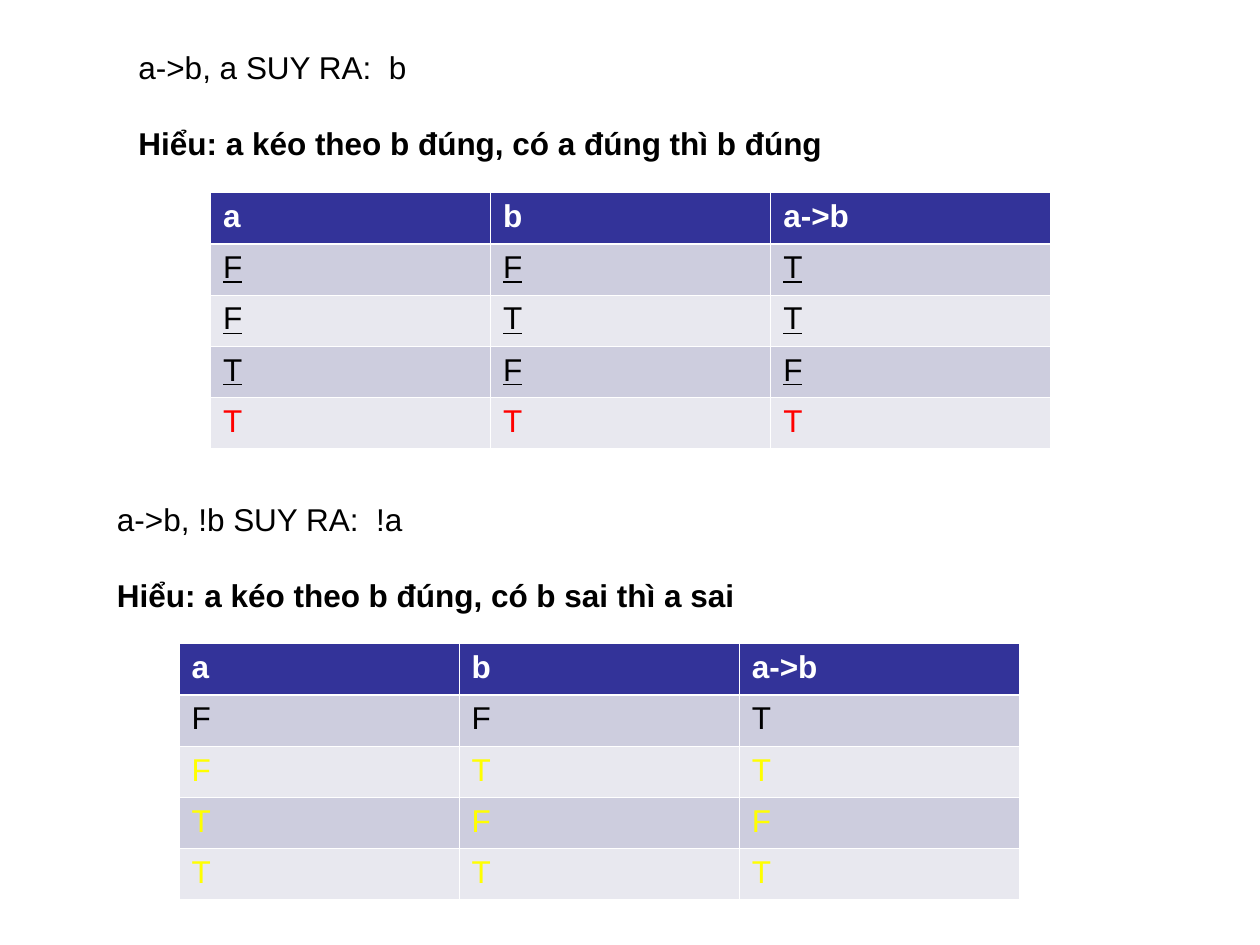
from dataclasses import dataclass

from lxml.etree import SubElement as Sub
from pptx import Presentation as Deck
from pptx.dml.color import RGBColor as Rgb
from pptx.enum.text import MSO_AUTO_SIZE as Fit
from pptx.oxml.ns import qn
from pptx.util import Inches, Pt


@dataclass(frozen=True)
class Theme:
    font: str = "Arial"
    size: int = 18
    gap: int = 22
    thin: float = 0.45
    thick: float = 1.47
    ink: str = "000000"
    white: str = "FFFFFF"
    red: str = "FF0000"
    yellow: str = "FFFF00"
    head: str = "333399"
    bands: tuple[str, str] = ("CDCDDE", "E8E8EF")


@dataclass(frozen=True)
class Look:
    color: str
    bold: bool = False
    line: bool = False


@dataclass(frozen=True)
class Proof:
    rule: str
    note: str
    text_at: tuple[float, float]
    grid_at: tuple[float, float]
    looks: tuple[Look, ...]


THEME = Theme()
TRUTH = (("a", "b", "a->b"), "FFT", "FTT", "TFF", "TTT")
HEAD = Look(THEME.white, bold=True)
PLAIN = Look(THEME.ink)
UNDER = Look(THEME.ink, line=True)
RED = Look(THEME.red)
YELLOW = Look(THEME.yellow)

PROOFS = (
    Proof("a->b, a SUY RA:  b",
          "Hiểu: a kéo theo b đúng, có a đúng thì b đúng",
          (1, 0.33), (1.67, 1.53), (HEAD, UNDER, UNDER, UNDER, RED)),
    Proof("a->b, !b SUY RA:  !a",
          "Hiểu: a kéo theo b đúng, có b sai thì a sai",
          (0.83, 3.92), (1.42, 5.11), (HEAD, PLAIN, YELLOW, YELLOW, YELLOW)),
)


def write(para, text: str, look: Look) -> None:
    run = para.add_run()
    run.text = text
    form = {"name": THEME.font, "size": Pt(THEME.size),
            "bold": look.bold, "underline": look.line}
    for key, value in form.items():
        setattr(run.font, key, value)
    run.font.color.rgb = Rgb.from_string(look.color)


def add_text(slide, proof: Proof) -> None:
    left, top = proof.text_at
    box = slide.shapes.add_textbox(
        Inches(left), Inches(top), Inches(6.42), Inches(1))
    frame = box.text_frame
    for key, value in {"word_wrap": True, "auto_size": Fit.NONE}.items():
        setattr(frame, key, value)
    write(frame.paragraphs[0], proof.rule, PLAIN)
    note = frame.add_paragraph()
    note.space_before = Pt(THEME.gap)
    write(note, proof.note, Look(THEME.ink, bold=True))


def add_edges(cell, row: int) -> None:
    props = cell._tc.get_or_add_tcPr()
    wide = {"T": row == 1, "B": row == 0}
    for side in "LRTB":
        width = THEME.thick if wide.get(side) else THEME.thin
        edge = Sub(props, qn(f"a:ln{side}"), w=str(Pt(width)))
        fill = Sub(edge, qn("a:solidFill"))
        Sub(fill, qn("a:srgbClr"), val=THEME.white)


def add_grid(slide, proof: Proof) -> None:
    left, top = proof.grid_at
    grid = slide.shapes.add_table(
        len(TRUTH), len(TRUTH[0]), Inches(left), Inches(top),
        Inches(6.67), Inches(2.03)).table
    for row, (words, look) in enumerate(zip(TRUTH, proof.looks)):
        shade = THEME.bands[(row - 1) % 2] if row else THEME.head
        for col, word in enumerate(words):
            cell = grid.cell(row, col)
            write(cell.text_frame.paragraphs[0], word, look)
            add_edges(cell, row)
            cell.fill.solid()
            cell.fill.fore_color.rgb = Rgb.from_string(shade)


def main() -> None:
    deck = Deck()
    for key, value in {"slide_width": 10, "slide_height": 7.5}.items():
        setattr(deck, key, Inches(value))
    slide = deck.slides.add_slide(deck.slide_layouts[6])
    for proof in PROOFS:
        add_text(slide, proof)
        add_grid(slide, proof)
    deck.save("out.pptx")


if __name__ == "__main__":
    main()
